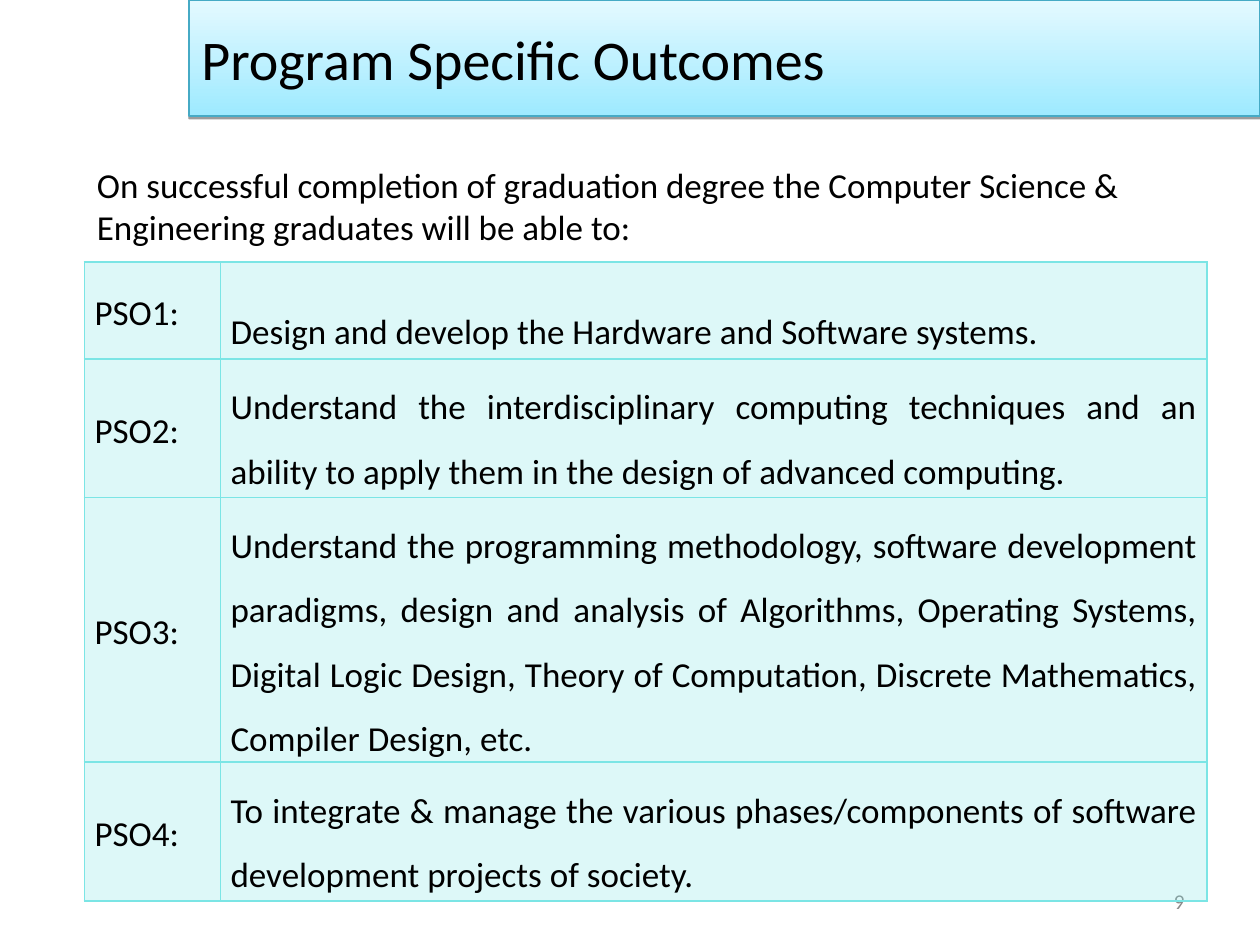
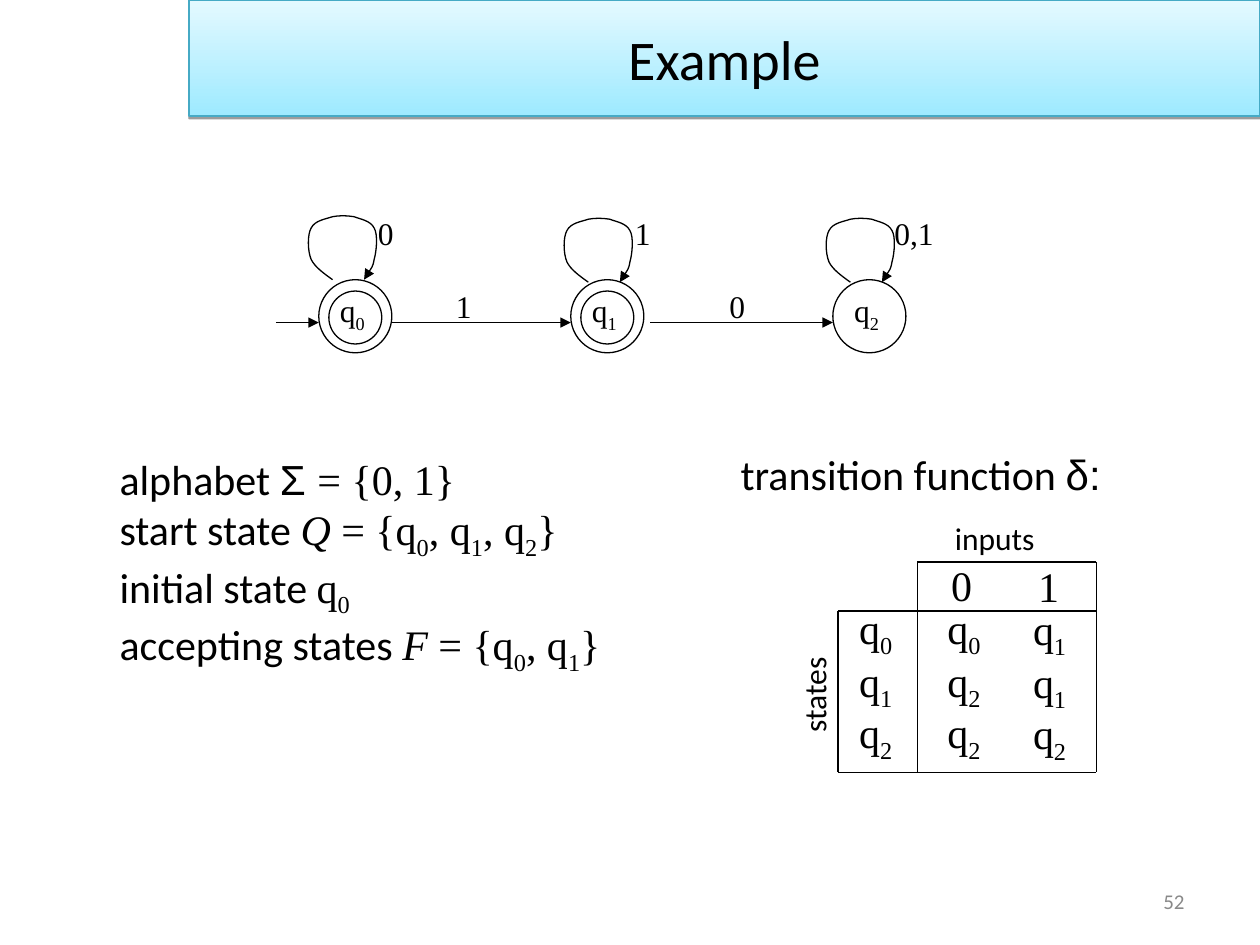
from dataclasses import dataclass
from typing import NamedTuple

from lxml.etree import SubElement
from pptx import Presentation
from pptx.dml.color import RGBColor
from pptx.enum.shapes import MSO_CONNECTOR, MSO_SHAPE
from pptx.enum.text import MSO_ANCHOR as Anchor, MSO_AUTO_SIZE as AutoSize, PP_ALIGN as Align
from pptx.oxml.ns import qn
from pptx.util import Emu, Pt

PX = 9144
BLACK = RGBColor(0x00, 0x00, 0x00)
GRAY = RGBColor(0x89, 0x89, 0x89)
BAND_DEEP = RGBColor(0x9E, 0xEA, 0xFF)
BAND_PALE = RGBColor(0xE4, 0xF9, 0xFF)
BAND_EDGE = RGBColor(0x46, 0xAA, 0xC5)
TURQUOISE = RGBColor(0x7B, 0xE5, 0xE5)
SANS, SERIF, GREEK = "Calibri", "Times New Roman", "Arial"


class Box(NamedTuple):
    left: int
    top: int
    width: int
    height: int


class Segment(NamedTuple):
    x1: int
    y1: int
    x2: int
    y2: int


class Piece(NamedTuple):
    text: str
    font: str = SERIF
    italic: bool = False
    sub: bool = False


class Outcome(NamedTuple):
    code: str
    text: str
    spacing: float
    height: int


@dataclass
class State:
    index: int
    left: int
    label_left: int
    accepting: bool
    loop_start: tuple[int, int]
    loop_input: str
    input_box: Box


OUTCOMES = [
    Outcome("PSO1:", "Design and develop the Hardware and Software systems.", 2.0, 67),
    Outcome("PSO2:", "Understand the interdisciplinary computing techniques and an ability "
            "to apply them in the design of advanced computing.", 1.5, 100),
    Outcome("PSO3:", "Understand the programming methodology, software development paradigms, "
            "design and analysis of Algorithms, Operating Systems, Digital Logic Design, "
            "Theory of Computation, Discrete Mathematics, Compiler Design, etc.", 1.5, 200),
    Outcome("PSO4:", "To integrate & manage the various phases/components of software "
            "development projects of society.", 1.5, 100),
]
STATES = [
    State(0, 253, 260, True, (264, 222), "0", Box(290, 165, 34, 40)),
    State(1, 453, 460, True, (467, 224), "1", Box(494, 165, 34, 40)),
    State(2, 661, 668, False, (675, 224), "0,1", Box(700, 165, 54, 40)),
]
LOOP_CURVE = [
    (-7, -5), (-14, -10), (-17, -16), (-20, -23), (-20, -36), (-17, -41), (-14, -47),
    (-6, -48), (0, -50), (5, -51), (11, -51), (17, -50), (22, -48), (30, -47), (33, -41),
    (36, -36), (35, -23), (33, -16), (32, -10), (28, -5), (25, 0),
]
ARROWS = [Segment(219, 256, 253, 256), Segment(311, 256, 453, 256), Segment(516, 256, 661, 256)]
STEP_INPUTS = [("1", Box(352, 223, 34, 40)), ("0", Box(569, 223, 34, 40))]
GRID_LINES = [
    Segment(728, 446, 870, 446), Segment(665, 485, 870, 485), Segment(665, 613, 870, 613),
    Segment(665, 485, 665, 613), Segment(728, 446, 728, 613), Segment(870, 446, 870, 613),
]
TRANSITIONS = [(0, 0, 1), (1, 2, 1), (2, 2, 2)]
TRANSITION_COLUMNS = [(672, 473), (742, 473), (810, 474)]


def px(length: int) -> Emu:
    return Emu(length * PX)


def style_run(run, size: int, font: str, color: RGBColor = BLACK) -> None:
    run.font.size = Pt(size)
    run.font.name = font
    run.font.color.rgb = color


def style_frame(frame, size: int, font: str, color: RGBColor = BLACK,
                align: Align = Align.LEFT) -> None:
    for paragraph in frame.paragraphs:
        paragraph.alignment = align
        for run in paragraph.runs:
            style_run(run, size, font, color)


def add_frame(slide, box: Box, wrap: bool = False, rotation: int = 0):
    holder = slide.shapes.add_textbox(*map(px, box))
    holder.rotation = rotation
    holder.text_frame.word_wrap = wrap
    holder.text_frame.auto_size = AutoSize.SHAPE_TO_FIT_TEXT
    return holder.text_frame


def add_label(slide, box: Box, text: str, size: int, font: str, rotation: int = 0) -> None:
    frame = add_frame(slide, box, rotation=rotation)
    frame.text = text
    style_frame(frame, size, font)


def add_rich_text(slide, box: Box, size: int, lines: list[list[Piece]]) -> None:
    frame = add_frame(slide, box)
    for number, pieces in enumerate(lines):
        paragraph = frame.add_paragraph() if number else frame.paragraphs[0]
        for piece in pieces:
            run = paragraph.add_run()
            run.text = piece.text
            style_run(run, size, piece.font)
            run.font.italic = piece.italic
            if piece.sub:
                run.font._element.set("baseline", "-25000")


def state_name(index: int, lead: str = "") -> list[Piece]:
    return [Piece(f"{lead}q"), Piece(str(index), sub=True)]


def outline(shape, arrow: bool = False) -> None:
    shape.line.color.rgb = BLACK
    shape.line.width = Pt(0.75)
    if arrow:
        SubElement(shape.element.spPr.find(qn("a:ln")), qn("a:tailEnd"), type="triangle")


def add_segment(slide, segment: Segment, arrow: bool = False) -> None:
    connector = slide.shapes.add_connector(MSO_CONNECTOR.STRAIGHT, *map(px, segment))
    outline(connector, arrow)
    SubElement(connector.element.spPr, qn("a:effectLst"))


def add_circle(slide, box: Box) -> None:
    circle = slide.shapes.add_shape(MSO_SHAPE.OVAL, *map(px, box))
    circle.fill.background()
    outline(circle)
    circle.shadow.inherit = False


def add_loop(slide, start: tuple[int, int]) -> None:
    x, y = start
    builder = slide.shapes.build_freeform(x, y, scale=PX)
    builder.add_line_segments([(x + dx, y + dy) for dx, dy in LOOP_CURVE], close=False)
    loop = builder.convert_to_shape()
    loop.fill.background()
    outline(loop, arrow=True)
    loop.shadow.inherit = False
    route = next(loop.element.iter(qn("a:path")))
    steps = route.findall(qn("a:lnTo"))
    for first in range(0, len(steps), 3):
        curve = SubElement(route, qn("a:cubicBezTo"))
        for step in steps[first:first + 3]:
            curve.append(step[0])
            route.remove(step)


def add_title(slide, title: str, align: Align) -> None:
    band = slide.shapes.add_shape(MSO_SHAPE.RECTANGLE, *map(px, Box(150, 0, 850, 92)))
    band.fill.gradient()
    band.fill.gradient_angle = 90
    for stop, color in zip(band.fill.gradient_stops, (BAND_DEEP, BAND_PALE)):
        stop.color.rgb = color
    band.line.color.rgb = BAND_EDGE
    band.line.width = Pt(0.75)
    band.shadow.inherit = False
    shadow = SubElement(band.element.spPr.find(qn("a:effectLst")), qn("a:outerShdw"),
                        blurRad="0", dist=str(Pt(1.6)), dir="5400000", rotWithShape="0")
    tint = SubElement(shadow, qn("a:srgbClr"), val=str(BLACK))
    SubElement(tint, qn("a:alpha"), val="38000")
    frame = band.text_frame
    frame.vertical_anchor = Anchor.MIDDLE
    frame.text = title
    style_frame(frame, 32, SANS, align=align)


def add_slide_number(slide, number: int) -> None:
    frame = slide.shapes.add_textbox(*map(px, Box(717, 695, 233, 40))).text_frame
    frame.word_wrap = True
    frame.vertical_anchor = Anchor.MIDDLE
    frame.text = str(number)
    style_frame(frame, 12, SANS, GRAY, Align.RIGHT)


def fill_cell(cell, text: str, spacing: float, anchor: Anchor) -> None:
    cell.text = text
    cell.vertical_anchor = anchor
    cell.margin_left = cell.margin_right = px(8)
    cell.margin_top = cell.margin_bottom = px(5)
    style_frame(cell.text_frame, 20, SANS, align=Align.JUSTIFY)
    cell.text_frame.paragraphs[0].line_spacing = spacing
    cell.fill.solid()
    cell.fill.fore_color.rgb = TURQUOISE
    properties = cell._tc.tcPr
    SubElement(next(properties.iter(qn("a:srgbClr"))), qn("a:alpha"), val="25000")
    for position, side in enumerate(("lnL", "lnR", "lnT", "lnB")):
        border = SubElement(properties, qn(f"a:{side}"), w=str(Pt(1.08)))
        SubElement(SubElement(border, qn("a:solidFill")), qn("a:srgbClr"), val=str(TURQUOISE))
        properties.insert(position, border)


def add_outcomes_table(slide) -> None:
    table = slide.shapes.add_table(len(OUTCOMES), 2, *map(px, Box(67, 208, 892, 467))).table
    table.first_row = table.horz_banding = False
    for column, width in zip(table.columns, (108, 783)):
        column.width = px(width)
    for index, outcome in enumerate(OUTCOMES):
        table.rows[index].height = px(outcome.height)
        fill_cell(table.cell(index, 0), outcome.code, 1.15, Anchor.MIDDLE)
        fill_cell(table.cell(index, 1), outcome.text, outcome.spacing, Anchor.TOP)


def build_outcomes(slide) -> None:
    add_slide_number(slide, 9)
    add_outcomes_table(slide)
    add_title(slide, "Program Specific Outcomes", Align.LEFT)
    intro = add_frame(slide, Box(67, 125, 892, 77), wrap=True)
    intro.text = ("On successful completion of graduation degree the Computer Science &\n"
                  "Engineering graduates will be able to:")
    style_frame(intro, 20, SANS, align=Align.JUSTIFY)


def add_automaton(slide) -> None:
    for state in STATES:
        add_circle(slide, Box(state.left, 222, 58, 58))
        if state.accepting:
            add_circle(slide, Box(state.left + 8, 231, 42, 42))
        add_rich_text(slide, Box(state.label_left, 226, 43, 44), 18, [state_name(state.index)])
        add_loop(slide, state.loop_start)
        add_label(slide, state.input_box, state.loop_input, 18, SERIF)
    for arrow in ARROWS:
        add_segment(slide, arrow, arrow=True)
    for symbol, box in STEP_INPUTS:
        add_label(slide, box, symbol, 18, SERIF)


def add_definition(slide) -> None:
    add_rich_text(slide, Box(85, 355, 445, 187), 24, [
        [Piece("alphabet ", SANS), Piece("Σ ", GREEK), Piece("= {0, 1}")],
        [Piece("start state ", SANS), Piece("Q", italic=True), *state_name(0, " = {"),
         *state_name(1, ", "), *state_name(2, ", "), Piece("}")],
        [Piece("initial state ", SANS), *state_name(0)],
        [Piece("accepting states ", SANS), Piece("F", italic=True), *state_name(0, " = {"),
         *state_name(1, ", "), Piece("}")],
    ])


def add_transition_function(slide) -> None:
    add_rich_text(slide, Box(578, 351, 351, 50), 24,
                  [[Piece("transition function ", SANS), Piece("δ:", GREEK)]])
    add_label(slide, Box(601, 526, 90, 40), "states", 18, SANS, rotation=270)
    add_label(slide, Box(748, 407, 94, 40), "inputs", 18, SANS)
    add_label(slide, Box(745, 439, 38, 50), "0", 24, SERIF)
    add_label(slide, Box(814, 440, 38, 50), "1", 24, SERIF)
    for row, targets in enumerate(TRANSITIONS):
        for (left, top), index in zip(TRANSITION_COLUMNS, targets):
            cell = Box(left, top + round(row * 41.5), 51, 56)
            add_rich_text(slide, cell, 24, [state_name(index)])
    for line in GRID_LINES:
        add_segment(slide, line)


def build_example(slide) -> None:
    add_automaton(slide)
    add_definition(slide)
    add_transition_function(slide)
    add_title(slide, "Example", Align.CENTER)
    add_slide_number(slide, 52)


def main() -> None:
    deck = Presentation()
    deck.slide_width, deck.slide_height = px(1000), px(750)
    blank = deck.slide_layouts[6]
    for build in (build_outcomes, build_example):
        build(deck.slides.add_slide(blank))
    deck.save("out.pptx")


if __name__ == "__main__":
    main()
